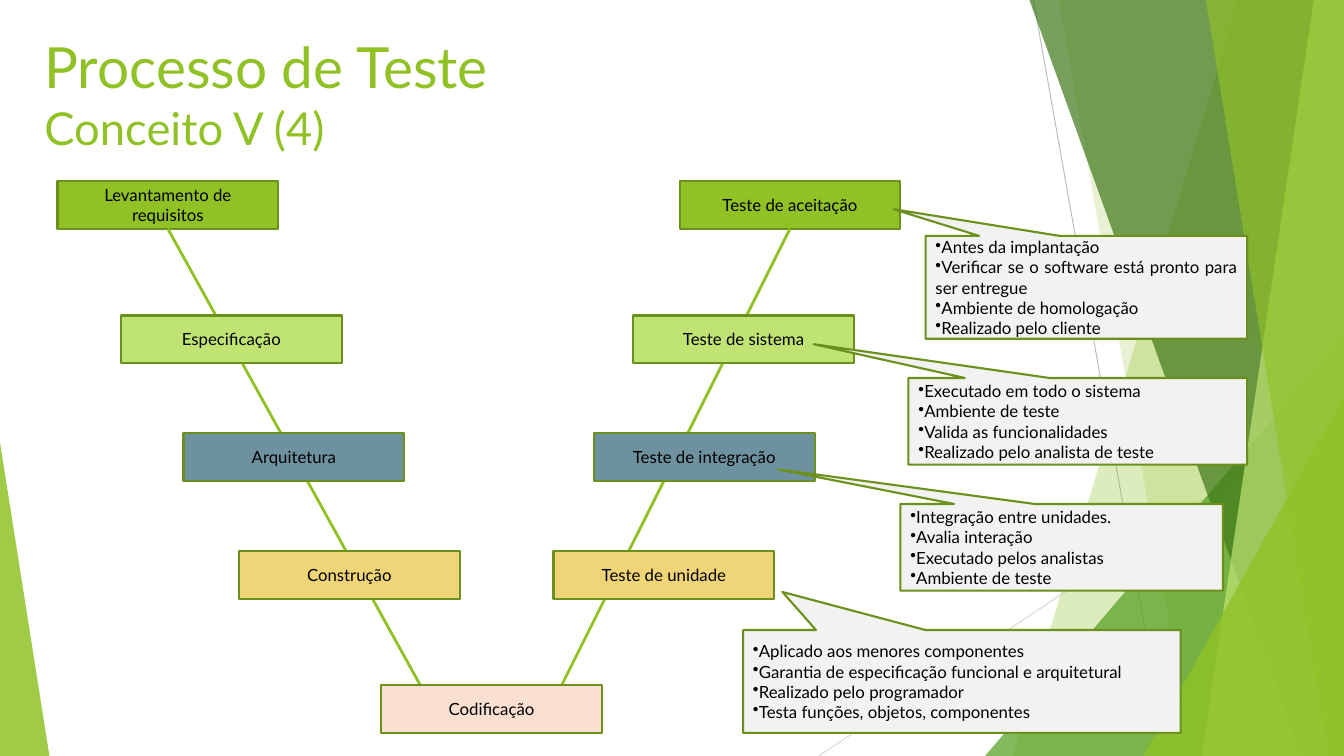
from lxml import etree
from pptx import Presentation
from pptx.dml.color import RGBColor
from pptx.enum.shapes import MSO_CONNECTOR, MSO_SHAPE
from pptx.enum.text import MSO_ANCHOR, PP_ALIGN
from pptx.oxml.ns import qn
from pptx.util import Inches, Pt

STRAIGHT = MSO_CONNECTOR.STRAIGHT
RECT, TRIANGLE = MSO_SHAPE.RECTANGLE, MSO_SHAPE.ISOSCELES_TRIANGLE
CALLOUT = MSO_SHAPE.RECTANGULAR_CALLOUT
TOP, MIDDLE = MSO_ANCHOR.TOP, MSO_ANCHOR.MIDDLE
LEFT, CENTER, JUSTIFY = PP_ALIGN.LEFT, PP_ALIGN.CENTER, PP_ALIGN.JUSTIFY

GREEN = RGBColor(0x90, 0xC2, 0x26)
LIME = RGBColor(0xC0, 0xE4, 0x74)
BLUE = RGBColor(0x6E, 0x91, 0xA0)
YELLOW = RGBColor(0xF0, 0xD5, 0x78)
PEACH = RGBColor(0xFA, 0xE0, 0xD1)
OUTLINE = RGBColor(0x6B, 0x90, 0x1C)
LEAF = RGBColor(0x54, 0xA0, 0x21)
FOREST = RGBColor(0x3F, 0x78, 0x19)
PALE = RGBColor(0xF2, 0xF2, 0xF2)
GRAY = RGBColor(0xBF, 0xBF, 0xBF)
LIGHT_GRAY = RGBColor(0xD9, 0xD9, 0xD9)
BLACK = RGBColor(0, 0, 0)
FONT = "Lato"
W, H = 13.33, 7.5
BOX_W, BOX_H = 2.19, 0.47

TITLE = [("Processo de Teste", 40.5), ("Conceito V (4)", 32.4)]

# Top, colour, (left, text) of the development side, then of the test side
LEVELS = [
    (1.8, GREEN, (0.57, "Levantamento de requisitos"), (6.74, "Teste de aceitação")),
    (3.13, LIME, (1.2, "Especificação"), (6.28, "Teste de sistema")),
    (4.3, BLUE, (1.82, "Arquitetura"), (5.89, "Teste de integração")),
    (5.47, YELLOW, (2.37, "Construção"), (5.49, "Teste de unidade")),
    (6.8, PEACH, (3.78, "Codificação")),
]
ARM_ENDS = [4.17, 5.57]

# Left, top, width, height, tip offsets, bullets
CALLOUTS = [
    (7.37, 6.25, 4.34, 1.02, (-0.41, -0.87), [
        "Aplicado aos menores componentes",
        "Garantia de especificação funcional e arquitetural",
        "Realizado pelo programador",
        "Testa funções, objetos, componentes"]),
    (8.93, 5, 3.2, 0.86, (-0.88, -0.9), [
        "Integração entre unidades.", "Avalia interação",
        "Executado pelos analistas", "Ambiente de teste"]),
    (9.01, 3.75, 3.36, 0.86, (-0.78, -0.89), [
        "Executado em todo o sistema", "Ambiente de teste",
        "Valida as funcionalidades", "Realizado pelo analista de teste"]),
    (9.18, 2.34, 3.19, 1.02, (-0.6, -0.76), [
        "Antes da implantação",
        "Verificar se o software está pronto para ser entregue",
        "Ambiente de homologação", "Realizado pelo cliente"]),
]

THIN_LINES = [((10.25, 0), (11.58, H), GRAY), ((W, 4.03), (8.12, H), LIGHT_GRAY)]
# Bands reach the right edge: (x at top, x at bottom).
# Triangles stand on the bottom edge: (left, top, width, apex position).
BACKDROP = [
    ("band", (12.28, 10.04), GREEN, 30),
    ("band", (10.5, 11.83), GREEN, 20),
    ("triangle", (9.77, 3.33, 3.56, 1), LEAF, 72),
    ("band", (10.21, 12.91), FOREST, 70),
    ("band", (13.03, 11.92), LIME, 70),
    ("band", (11.96, 13.18), GREEN, 65),
    ("triangle", (11.34, 3.93, 1.99, 1), GREEN, 80),
    ("triangle", (0, 4.39, 0.49, 0), GREEN, 85),
]


def add_line(start, end, color, width):
    line = s.shapes.add_connector(STRAIGHT, *map(Inches, start + end))
    line.line.color.rgb = color
    line.line.width = Pt(width)
    etree.SubElement(line._element.spPr, qn("a:effectLst"))
    return line


def add_backdrop(kind, place, color, opacity):
    if kind == "band":
        top_x, bottom_x = place
        corners = [(W, 0), (W, H), (bottom_x, H)]
        builder = s.shapes.build_freeform(Inches(top_x), 0)
        builder.add_line_segments([(Inches(x), Inches(y)) for x, y in corners], close=True)
        sp = builder.convert_to_shape()
    else:
        left, top, width, apex = place
        sp = s.shapes.add_shape(TRIANGLE, *map(Inches, (left, top, width, H - top)))
        sp.adjustments[0] = apex
    sp.shadow.inherit = False
    sp.line.fill.background()
    sp.fill.solid()
    sp.fill.fore_color.rgb = color
    clr = sp._element.spPr.find(qn("a:solidFill"))[0]
    etree.SubElement(clr, qn("a:alpha"), val=str(opacity * 1000))


def add_run(p, text, size, color):
    r = p.add_run()
    r.text = text
    r.font.name = FONT
    r.font.size = Pt(size)
    r.font.color.rgb = color


def add_panel(kind, place, color, lines, align, bullet=False):
    sp = s.shapes.add_shape(kind, *map(Inches, place))
    sp.shadow.inherit = False
    sp.fill.solid()
    sp.fill.fore_color.rgb = color
    sp.line.color.rgb = OUTLINE
    sp.line.width = Pt(1.5)
    tf = sp.text_frame
    tf.word_wrap = True
    tf.vertical_anchor = MIDDLE
    for i, text in enumerate(lines):
        p = tf.add_paragraph() if i else tf.paragraphs[0]
        p.alignment = align
        if bullet:
            etree.SubElement(p._p.get_or_add_pPr(), qn("a:buChar"), char="•")
        add_run(p, text, 12, BLACK)
    return sp


def add_level(top, color, *boxes):
    return [add_panel(RECT, (left, top, BOX_W, BOX_H), color, [text], CENTER)
            for left, text in boxes]


prs = Presentation()
prs.slide_width, prs.slide_height = Inches(W), Inches(H)
s = prs.slides.add_slide(prs.slide_layouts[5])

for start, end, color in THIN_LINES:
    add_line(start, end, color, 0.75)
for item in BACKDROP:
    add_backdrop(*item)

title = s.shapes.title
title.left, title.top, title.width, title.height = map(Inches, (0.34, 0.27, 9.5, 1.25))
tf = title.text_frame
tf.word_wrap = True
tf.vertical_anchor = TOP
p = tf.paragraphs[0]
p.alignment = LEFT
for i, (text, size) in enumerate(TITLE):
    if i:
        p.add_line_break()
    add_run(p, text, size, GREEN)

# The arms of the V lie behind every box below the first level
arm_end_y = LEVELS[-1][0]
for box, end_x in zip(add_level(*LEVELS[0]), ARM_ENDS):
    arm = add_line((end_x, arm_end_y), (end_x, arm_end_y), GREEN, 2)
    arm.begin_connect(box, 2)
for level in LEVELS[1:]:
    add_level(*level)

for *place, tip, lines in CALLOUTS:
    sp = add_panel(CALLOUT, place, PALE, lines, JUSTIFY, bullet=True)
    sp.adjustments[0], sp.adjustments[1] = tip

prs.save("out.pptx")
